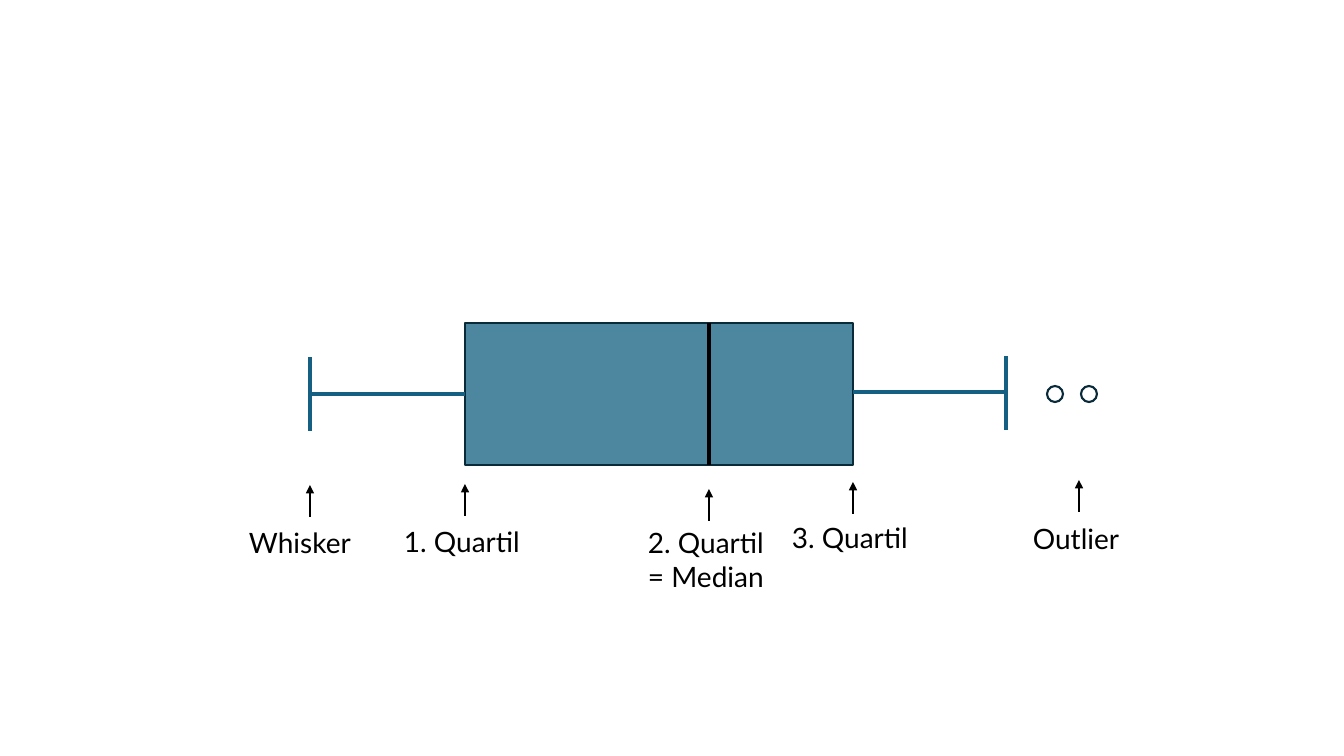
from lxml import etree
from pptx import Presentation
from pptx.dml.color import RGBColor
from pptx.enum.shapes import MSO_CONNECTOR as Connector, MSO_SHAPE as Shape
from pptx.enum.text import MSO_AUTO_SIZE as AutoSize
from pptx.oxml.ns import qn
from pptx.util import Pt

# Content: lengths in px
PAGE = (1344, 756)
BLUE, NAVY, BLACK = "156082", "092A39", "000000"
BOX = (465, 323, 388, 142)
MEDIAN_X = 709
CAPS = [(310, 357), (1006, 356)]  # x, top
CAP_HEIGHT = 74
RIGHT_WHISKER_Y = 392
OUTLIERS = [1047, 1081]
OUTLIER_TOP, OUTLIER_SIZE = 386, 16
ARROW_LENGTH = 32
LABELS = [  # text, arrow x, arrow tip y, left, top, width, height
    ("Whisker", 310, 485, 239, 521, 141, 44),
    ("1. Quartil", 465, 484, 394, 520, 141, 44),
    ("2. Quartil = Median", 709, 489, 638, 521, 141, 78),
    ("3. Quartil", 853, 482, 782, 516, 141, 44),
    ("Outlier", 1079, 480, 1023, 517, 110, 44),
]


def px(*lengths):
    return [round(length * 914400 / 100.8) for length in lengths]


def color(value):
    return RGBColor.from_string(value)


def add_line(x1, y1, x2, y2, ink, width, arrow=False):
    line = page.shapes.add_connector(Connector.STRAIGHT, *px(x1, y1, x2, y2))
    line.line.color.rgb = color(ink)
    line.line.width = Pt(width)
    if arrow:
        stroke = line.line._get_or_add_ln()
        etree.SubElement(stroke, qn("a:tailEnd"), type="triangle")
    etree.SubElement(line._element.spPr, qn("a:effectLst"))
    return line


def add_figure(kind, left, top, width, height, fill=None, opacity=100):
    figure = page.shapes.add_shape(kind, *px(left, top, width, height))
    figure.shadow.inherit = False
    figure.line.color.rgb = color(NAVY)
    figure.line.width = Pt(1.5)
    if fill:
        figure.fill.solid()
        figure.fill.fore_color.rgb = color(fill)
        tint = figure._element.spPr.find(".//" + qn("a:srgbClr"))
        etree.SubElement(tint, qn("a:alpha"), val=str(opacity * 1000))
    else:
        figure.fill.background()
    return figure


def add_text(text, left, top, width, height, size=20, font="Lato", ink=BLACK):
    frame = page.shapes.add_textbox(*px(left, top, width, height)).text_frame
    frame.word_wrap = True
    frame.auto_size = AutoSize.SHAPE_TO_FIT_TEXT
    span = frame.paragraphs[0].add_run()
    span.text = text
    span.font.size = Pt(size)
    span.font.name = font
    span.font.color.rgb = color(ink)


deck = Presentation()
deck.slide_width, deck.slide_height = px(*PAGE)
page = deck.slides.add_slide(deck.slide_layouts[6])

# Box and median
left, top, width, height = BOX
right, bottom, middle = left + width, top + height, top + height / 2
box = add_figure(Shape.RECTANGLE, *BOX, fill=BLUE, opacity=76)
add_line(MEDIAN_X, top, MEDIAN_X, bottom, BLACK, 3.25)

# Whiskers and their end caps
whisker = add_line(left, middle, CAPS[0][0], middle, BLUE, 2.25)
whisker.begin_connect(box, 1)
add_line(CAPS[1][0], RIGHT_WHISKER_Y, right, RIGHT_WHISKER_Y, BLUE, 2.25)
for x, cap_top in CAPS:
    add_line(x, cap_top + CAP_HEIGHT, x, cap_top, BLUE, 2.25)

# Outliers
for x in OUTLIERS:
    add_figure(Shape.OVAL, x, OUTLIER_TOP, OUTLIER_SIZE, OUTLIER_SIZE)

# Labels with arrows
for text, x, tip, *place in LABELS:
    add_text(text, *place)
    add_line(x, tip + ARROW_LENGTH, x, tip, BLACK, 2, arrow=True)

deck.save("out.pptx")
